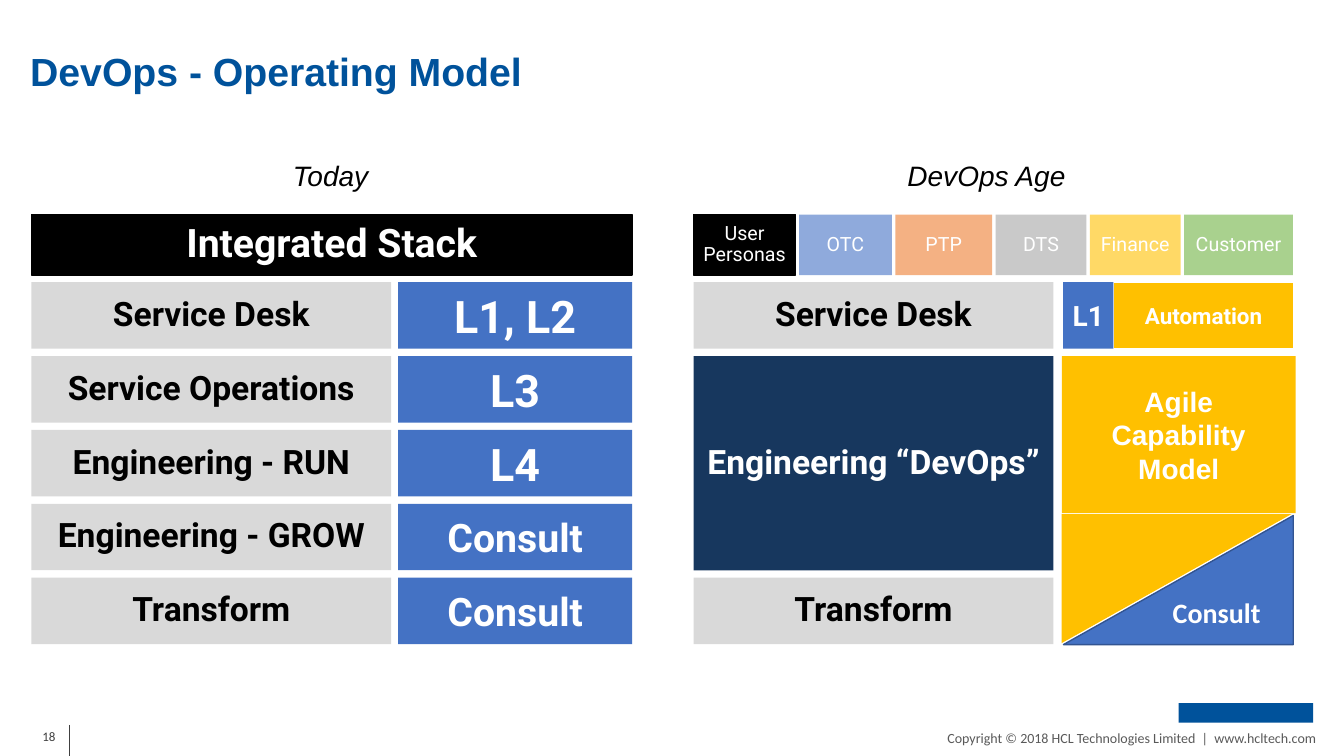
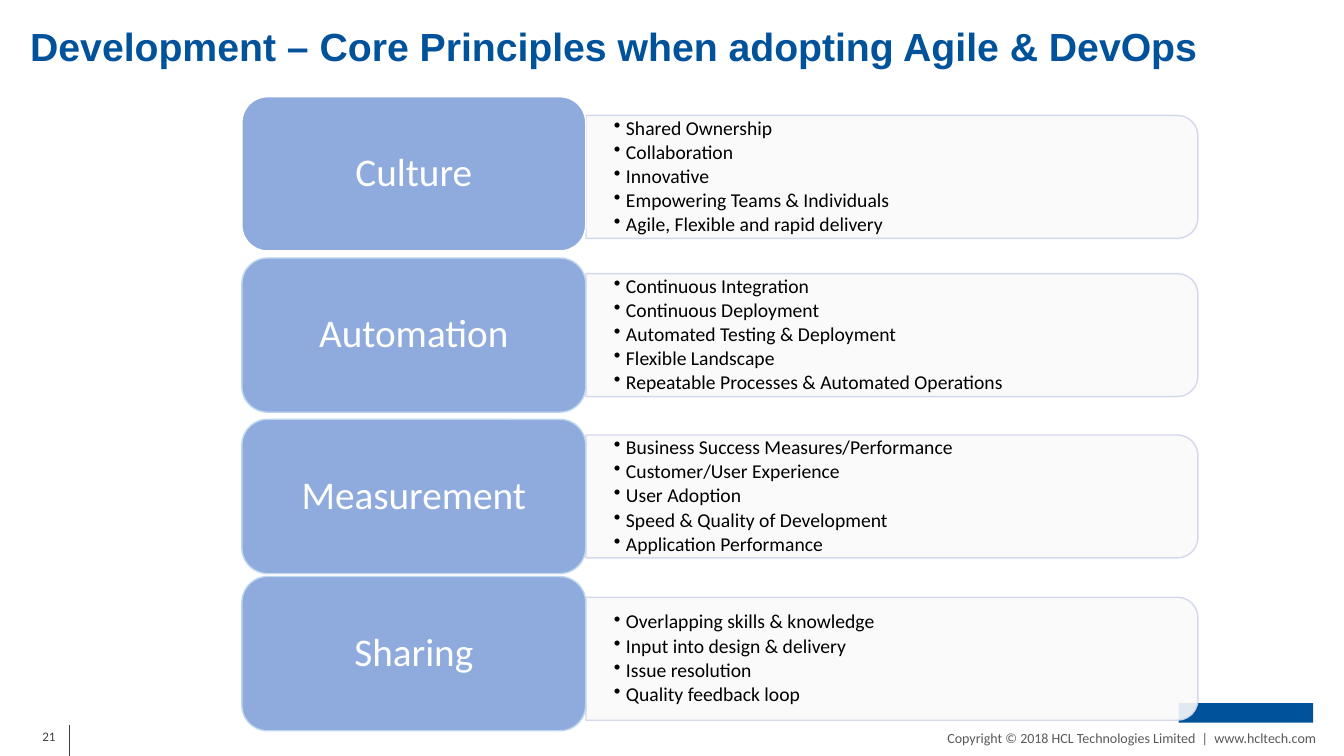
import pptx
import pptx.util
import pptx.dml.color
import pptx.oxml
import pptx.oxml.ns
import pptx.enum.shapes
import pptx.enum.text

SHAPES = pptx.enum.shapes.MSO_SHAPE
ALIGN = pptx.enum.text.PP_ALIGN
ANCHOR = pptx.enum.text.MSO_ANCHOR
BRAND, BLUE, PALE_BLUE, NAVY = "00529B", "4472C4", "8FAADC", "17375E"
YELLOW, GREY, BLACK, WHITE = "FFC000", "D9D9D9", "000000", "FFFFFF"

deck = pptx.Presentation()
deck.slide_width = pptx.util.Inches(13.33)
deck.slide_height = pptx.util.Inches(7.5)


def color(code):
    return pptx.dml.color.RGBColor.from_string(code)


def block(page, area, text="", size=14, ink=WHITE, fill=None, line=None, line_width=1,
          kind=SHAPES.RECTANGLE, font="Roboto", bold=False, italic=False,
          align=ALIGN.CENTER, anchor=ANCHOR.MIDDLE, spacing=0.9):
    left, top, width, height = area
    place = [int(deck.slide_width * left / 100), int(deck.slide_height * top / 100),
             int(deck.slide_width * width / 100), int(deck.slide_height * height / 100)]
    if fill:
        box = page.shapes.add_shape(kind, *place)
        box.shadow.inherit = False
        box.fill.solid()
        box.fill.fore_color.rgb = color(fill)
        if line:
            box.line.color.rgb = color(line)
            box.line.width = pptx.util.Pt(line_width)
        else:
            box.line.fill.background()
    else:
        box = page.shapes.add_textbox(*place)
    frame = box.text_frame
    frame.word_wrap = True
    frame.vertical_anchor = anchor
    frame.margin_left = frame.margin_right = pptx.util.Inches(0.05)
    frame.margin_top = frame.margin_bottom = pptx.util.Inches(0.05)
    if text:
        frame.text = text
        for para in frame.paragraphs:
            para.alignment = align
            para.line_spacing = spacing
            for span in para.runs:
                span.font.name = font
                span.font.size = pptx.util.Pt(size)
                span.font.bold = bold
                span.font.italic = italic
                span.font.color.rgb = color(ink)
    return box


pages = []
for title, title_bottom, number in [
    ("DevOps - Operating Model", 13.2, "18"),
    ("Development – Core Principles when adopting Agile & DevOps", 9.87, "21"),
]:
    page = deck.slides.add_slide(deck.slide_layouts[6])
    pages.append(page)
    block(page, (69.08, 95.87, 29.2, 3.6),
          "Copyright © 2018 HCL Technologies Limited  |  www.hcltech.com", 10, "595959",
          font="Calibri", align=ALIGN.RIGHT, anchor=ANCHOR.TOP, spacing=1)
    block(page, (0.5, 95.73, 4, 3.47), number, 9.3, "404040",
          font="Calibri", align=ALIGN.RIGHT, anchor=ANCHOR.TOP, spacing=1)
    block(page, (87.7, 93, 10, 2.6), fill=BRAND)
    rule_x = int(deck.slide_width * 0.0518)
    rule = page.shapes.add_connector(pptx.enum.shapes.MSO_CONNECTOR.STRAIGHT, rule_x,
                                     int(deck.slide_height * 0.9587), rule_x, deck.slide_height)
    rule.line.color.rgb = color("404040")
    rule.line.width = pptx.util.Pt(0.5)
    rule._element.spPr.append(pptx.oxml.parse_xml(
        "<a:effectLst %s/>" % pptx.oxml.ns.nsdecls("a")))
    block(page, (1.87, title_bottom - 9.8, 95.5, 9.8), title, 28, BRAND, font="Arial",
          bold=True, align=ALIGN.LEFT, anchor=ANCHOR.BOTTOM)

model, principles = pages

HEADER_TOP, HEADER_HEIGHT = 28.4, 8
LABEL_WIDTH, ROLE_WIDTH = 26.78, 17.4
TODAY_LEFT, TODAY_ROLE_LEFT = 2.33, 29.63
AGE_LEFT, AGE_ROLE_LEFT = 51.6, 79
ROW_HEIGHT, ROW_PITCH = 8.8, 9.77
row_tops = [37.33 + ROW_PITCH * row for row in range(5)]

for caption, center in [("Today", 24.6), ("DevOps Age", 73.4)]:
    block(model, (center - 7, 20.27, 14, 5.87), caption, 20, BLACK, font="Arial",
          italic=True, anchor=ANCHOR.TOP, spacing=1)

block(model, (TODAY_LEFT, HEADER_TOP, TODAY_ROLE_LEFT + ROLE_WIDTH - TODAY_LEFT, HEADER_HEIGHT),
      "Integrated Stack", 28, fill=BLACK, line=BLACK, bold=True)
for top, (service, role, role_size) in zip(row_tops, [
    ("Service Desk", "L1, L2", 32),
    ("Service Operations", "L3", 32),
    ("Engineering - RUN", "L4", 32),
    ("Engineering - GROW", "Consult", 28),
    ("Transform", "Consult", 28),
]):
    block(model, (TODAY_LEFT, top, LABEL_WIDTH, ROW_HEIGHT), service, 24, BLACK, GREY, bold=True)
    block(model, (TODAY_ROLE_LEFT, top, ROLE_WIDTH, ROW_HEIGHT), role, role_size, fill=BLUE,
          bold=True, spacing=1)

persona_left = AGE_LEFT
for persona, width, fill, line in [
    ("User Personas", 7.6, BLACK, BLACK),
    ("OTC", 6.9, PALE_BLUE, None),
    ("PTP", 7.2, "F4B183", None),
    ("DTS", 6.75, "C9C9C9", None),
    ("Finance", 6.75, "FFD966", None),
    ("Customer", 8.1, "A9D18E", None),
]:
    block(model, (persona_left, HEADER_TOP, width, HEADER_HEIGHT), persona, fill=fill, line=line)
    persona_left += width + 0.26

for service, row, rows, ink, fill in [
    ("Service Desk", 0, 1, BLACK, GREY),
    ("Engineering “DevOps”", 1, 3, WHITE, NAVY),
    ("Transform", 4, 1, BLACK, GREY),
]:
    block(model, (AGE_LEFT, row_tops[row], LABEL_WIDTH, ROW_HEIGHT + (rows - 1) * ROW_PITCH),
          service, 24, ink, fill, bold=True)

block(model, (82.8, row_tops[0], 13.5, ROW_HEIGHT), "Automation", 16, fill=YELLOW, line=WHITE,
      line_width=1.5, bold=True, spacing=1)
block(model, (79.1, row_tops[0], 3.75, ROW_HEIGHT), "L1", 20, fill=BLUE, bold=True, spacing=1)
block(model, (AGE_ROLE_LEFT, row_tops[1], ROLE_WIDTH, 20.8), "Agile\nCapability\nModel", 20,
      fill=YELLOW, font="Arial", bold=True, spacing=1)
for text, left, top, fill, line, flip in [
    ("Consult", 79.13, 68.2, BLUE, "325491", "flipH"),
    ("", AGE_ROLE_LEFT, 68, YELLOW, None, "flipV"),
]:
    half = block(model, (left, top, 17.1, 17.07), text, 20, fill=fill, line=line,
                 kind=SHAPES.RIGHT_TRIANGLE, font="Calibri", bold=True, spacing=1)
    half._element.spPr.xfrm.set(flip, "1")

PANEL_LEFT, PANEL_WIDTH, PANEL_HEIGHT = 43.6, 45.53, 16.27
LABEL_HEIGHT = 20.4
for name, label_center, panel_center, border, points in [
    ("Culture", 23, 23.4, WHITE,
     ["Shared Ownership", "Collaboration", "Innovative", "Empowering Teams & Individuals",
      "Agile, Flexible and rapid delivery"]),
    ("Automation", 44.33, 44.33, "BDD7EE",
     ["Continuous Integration", "Continuous Deployment", "Automated Testing & Deployment",
      "Flexible Landscape", "Repeatable Processes & Automated Operations"]),
    ("Measurement", 65.67, 65.67, "BDD7EE",
     ["Business Success Measures/Performance", "Customer/User Experience", "User Adoption",
      "Speed & Quality of Development", "Application Performance"]),
    ("Sharing", 86.47, 87.13, "BDD7EE",
     ["Overlapping skills & knowledge", "Input into design & delivery", "Issue resolution",
      "Quality feedback loop"]),
]:
    panel = block(principles, (PANEL_LEFT, panel_center - PANEL_HEIGHT / 2,
                               PANEL_WIDTH, PANEL_HEIGHT),
                  fill="FAFAFA", line="CFD5EA", kind=SHAPES.ROUND_2_SAME_RECTANGLE)
    middle_x, middle_y = panel.left + panel.width // 2, panel.top + panel.height // 2
    panel.width, panel.height = panel.height, panel.width
    panel.left, panel.top = middle_x - panel.width // 2, middle_y - panel.height // 2
    panel.rotation = 90
    for shade in panel._element.spPr.iter(pptx.oxml.ns.qn("a:srgbClr")):
        shade.append(pptx.oxml.parse_xml(
            '<a:alpha %s val="90000"/>' % pptx.oxml.ns.nsdecls("a")))
    notes = block(principles, (45.3, panel_center - 7.33, 43.2, 14.67), "\n".join(points),
                  14, BLACK, font="Calibri", align=ALIGN.LEFT)
    for para in notes.text_frame.paragraphs:
        para.space_after = pptx.util.Pt(2.1)
        properties = para._p.get_or_add_pPr()
        properties.set("marL", str(pptx.util.Inches(0.12)))
        properties.set("indent", str(-pptx.util.Inches(0.12)))
        properties.append(pptx.oxml.parse_xml(
            '<a:buChar %s char="•"/>' % pptx.oxml.ns.nsdecls("a")))
    block(principles, (18, label_center - LABEL_HEIGHT / 2, 25.58, LABEL_HEIGHT), name, 28,
          fill=PALE_BLUE, line=border, kind=SHAPES.ROUNDED_RECTANGLE, font="Calibri")

deck.save("out.pptx")
